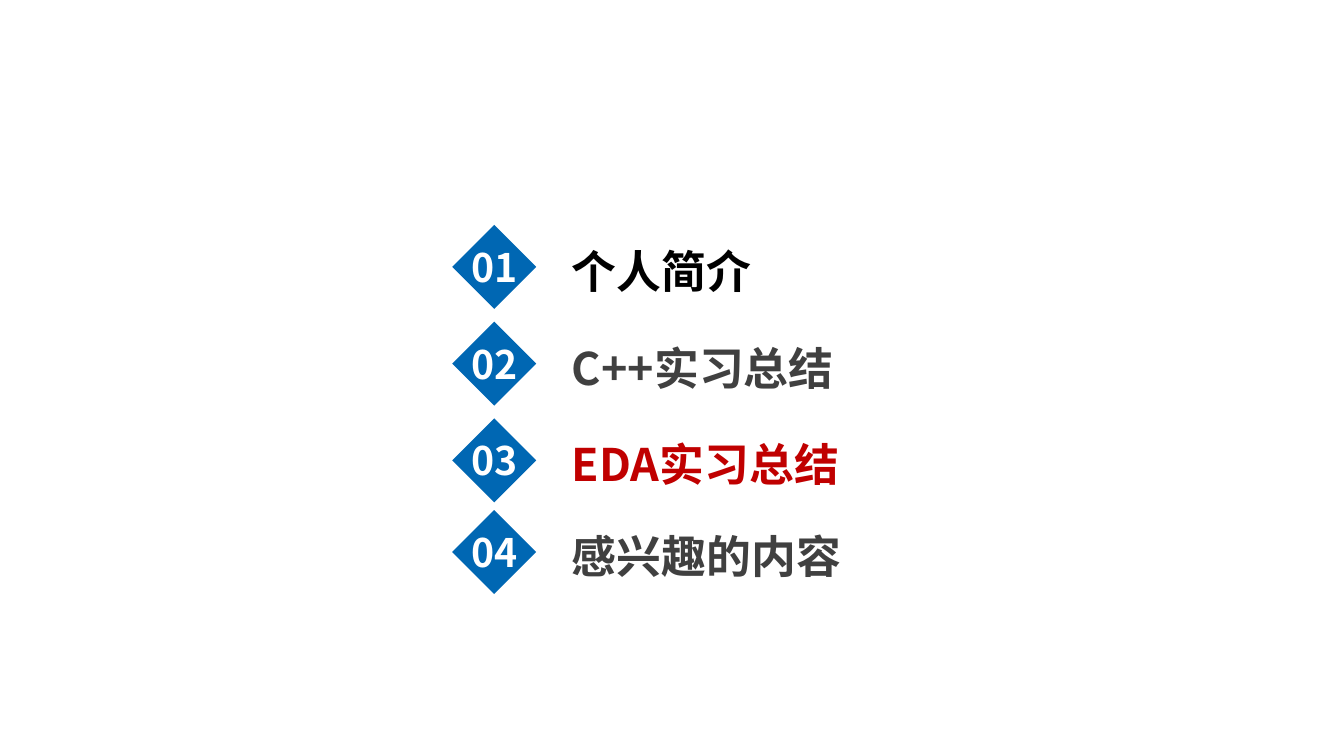
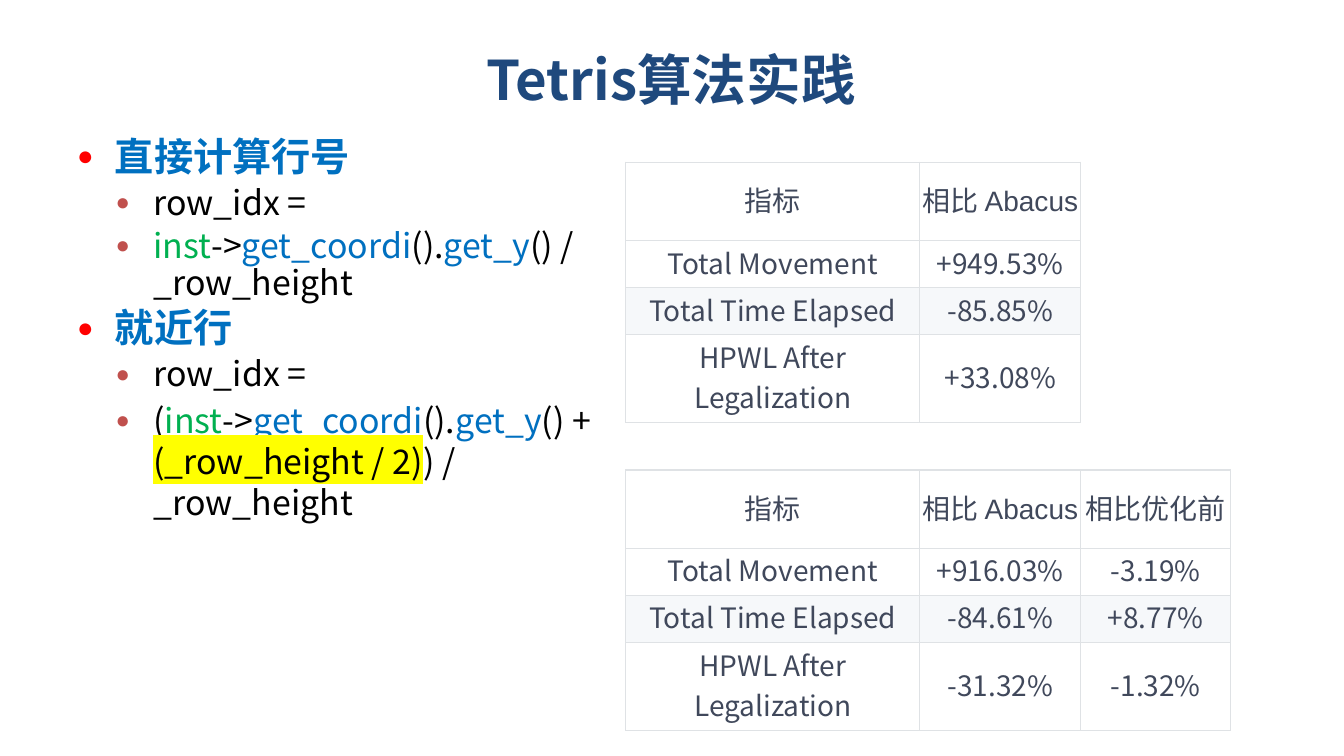
from dataclasses import dataclass

from lxml import etree
from pptx import Presentation
from pptx.dml.color import RGBColor
from pptx.enum.shapes import MSO_SHAPE
from pptx.enum.text import MSO_ANCHOR, PP_ALIGN
from pptx.oxml.ns import qn
from pptx.util import Pt

DIAMOND = MSO_SHAPE.DIAMOND
TOP, MIDDLE, BOTTOM = MSO_ANCHOR.TOP, MSO_ANCHOR.MIDDLE, MSO_ANCHOR.BOTTOM
LEFT, CENTER = PP_ALIGN.LEFT, PP_ALIGN.CENTER

SANS = "Noto Sans CJK SC"
ARIAL = "Arial"
BLACK, WHITE, GRAY = "000000", "FFFFFF", "404040"
NAVY, BLUE, DIAMOND_BLUE = "1F497D", "0070C0", "0067B3"
GREEN, CRIMSON, YELLOW = "00B050", "C00000", "FFFF00"
BULLET_RED, BULLET_BRICK = "FF0000", "C0504D"
TABLE_TEXT, TABLE_BORDER, TABLE_STRIPE = "40485B", "DFE2E5", "F6F8FA"
PLAIN_TABLE_STYLE = "{2D5ABB26-0587-4C30-8999-92F81FD0307C}"
TIGHT_SPACING, HIGHLIGHT_SPACING = 0.91, 1.0


@dataclass(frozen=True)
class TextStyle:
    size: float
    color: str
    bold: bool = False
    align: PP_ALIGN = LEFT
    font: str = SANS


@dataclass(frozen=True)
class AgendaItem:
    top: float
    label: str
    color: str


@dataclass(frozen=True)
class Piece:
    text: str
    color: str = BLACK
    highlight: str = ""


@dataclass(frozen=True)
class Bullet:
    level: int
    pieces: tuple[Piece, ...]


@dataclass(frozen=True)
class BulletStyle:
    indent: float
    color: str
    text: TextStyle


AGENDA = (
    AgendaItem(160.6, "个人简介", BLACK),
    AgendaItem(229.7, "C++实习总结", GRAY),
    AgendaItem(298.8, "EDA实习总结", CRIMSON),
    AgendaItem(364.3, "感兴趣的内容", GRAY),
)

BULLET_STYLES = (
    BulletStyle(27, BULLET_RED, TextStyle(28, BLUE, True)),
    BulletStyle(54.5, BULLET_BRICK, TextStyle(24.2, BLACK)),
)

ROW_INDEX = Bullet(1, (Piece("row_idx ="),))
GET_Y = (
    Piece("inst", GREEN),
    Piece("->"),
    Piece("get_coordi", BLUE),
    Piece("()."),
    Piece("get_y", BLUE),
)
BULLETS = (
    Bullet(0, (Piece("直接计算行号", BLUE),)),
    ROW_INDEX,
    Bullet(1, (*GET_Y, Piece("() / _row_height"))),
    Bullet(0, (Piece("就近行", BLUE),)),
    ROW_INDEX,
    Bullet(1, (
        Piece("("),
        *GET_Y,
        Piece("() + "),
        Piece("(_row_height / 2)", highlight=YELLOW),
        Piece(") / _row_height"),
    )),
)

METRICS = (
    ("指标", "相比 Abacus", ""),
    ("Total Movement", "+949.53%", ""),
    ("Total Time Elapsed", "-85.85%", ""),
    ("HPWL After Legalization", "+33.08%", ""),
    ("", "", ""),
    ("指标", "相比 Abacus", "相比优化前"),
    ("Total Movement", "+916.03%", "-3.19%"),
    ("Total Time Elapsed", "-84.61%", "+8.77%"),
    ("HPWL After Legalization", "-31.32%", "-1.32%"),
)
BLOCK_HEIGHTS = (55.8, 33.6, 33.6, 62.9)
ROW_HEIGHTS = (*BLOCK_HEIGHTS, 34, *BLOCK_HEIGHTS)
COLUMN_WIDTHS = (210, 115, 107.2)
EDGES = {"lnL": (0, -1), "lnR": (0, 1), "lnT": (-1, 0), "lnB": (1, 0)}


def rgb(color: str) -> RGBColor:
    return RGBColor.from_string(color)


def add_color(parent, color: str) -> None:
    etree.SubElement(parent, qn("a:srgbClr"), val=color)


def style_paragraph(paragraph, style: TextStyle) -> None:
    paragraph.alignment = style.align
    font = paragraph.font
    font.name = style.font
    font.size = Pt(style.size)
    font.bold = style.bold
    font.color.rgb = rgb(style.color)
    latin = next(paragraph._p.iter(qn("a:latin")))
    east_asian = etree.Element(qn("a:ea"), typeface=SANS)
    latin.addnext(east_asian)


def write(frame, text: str, style: TextStyle) -> None:
    paragraph = frame.paragraphs[0]
    paragraph.text = text
    style_paragraph(paragraph, style)


def add_frame(slide, left: float, top: float, width: float, height: float, anchor=TOP):
    box = slide.shapes.add_textbox(Pt(left), Pt(top), Pt(width), Pt(height))
    frame = box.text_frame
    frame.word_wrap = True
    frame.vertical_anchor = anchor
    return frame


def add_agenda_item(slide, number: int, item: AgendaItem) -> None:
    diamond = slide.shapes.add_shape(DIAMOND, Pt(323), Pt(item.top), Pt(60), Pt(60))
    diamond.shadow.inherit = False
    diamond.fill.solid()
    diamond.fill.fore_color.rgb = rgb(DIAMOND_BLUE)
    diamond.line.fill.background()
    frame = diamond.text_frame
    frame.word_wrap = False
    frame.vertical_anchor = MIDDLE
    frame.margin_left = frame.margin_right = frame.margin_top = frame.margin_bottom = 0
    write(frame, f"{number:02d}", TextStyle(28, WHITE, True, CENTER))
    label = add_frame(slide, 401.5, item.top + 9.8, 271.5, 46)
    write(label, item.label, TextStyle(32, item.color, True))


def add_bullet_mark(paragraph, style: BulletStyle) -> None:
    properties = paragraph._p.get_or_add_pPr()
    properties.set("marL", str(Pt(style.indent)))
    properties.set("indent", str(-Pt(27)))
    add_color(etree.SubElement(properties, qn("a:buClr")), style.color)
    etree.SubElement(properties, qn("a:buSzPct"), val="70000")
    etree.SubElement(properties, qn("a:buFont"), typeface=ARIAL)
    etree.SubElement(properties, qn("a:buChar"), char="●")


def add_bullets(frame, bullets: tuple[Bullet, ...]) -> None:
    for index, bullet in enumerate(bullets):
        paragraph = frame.add_paragraph() if index else frame.paragraphs[0]
        style = BULLET_STYLES[bullet.level]
        highlighted = any(piece.highlight for piece in bullet.pieces)
        paragraph.level = bullet.level
        paragraph.line_spacing = HIGHLIGHT_SPACING if highlighted else TIGHT_SPACING
        if index:
            paragraph.space_before = Pt(4.2)
        add_bullet_mark(paragraph, style)
        style_paragraph(paragraph, style.text)
        for piece in bullet.pieces:
            run = paragraph.add_run()
            run.text = piece.text
            if piece.color != style.text.color:
                run.font.color.rgb = rgb(piece.color)
            if piece.highlight:
                properties = run._r.get_or_add_rPr()
                add_color(etree.SubElement(properties, qn("a:highlight")), piece.highlight)


def has_text(row: int, column: int) -> bool:
    inside = 0 <= row < len(METRICS) and 0 <= column < len(COLUMN_WIDTHS)
    return inside and bool(METRICS[row][column])


def add_borders(cell, row: int, column: int) -> None:
    properties = cell._tc.get_or_add_tcPr()
    for position, (edge, (down, right)) in enumerate(EDGES.items()):
        line = etree.Element(qn(f"a:{edge}"), w=str(Pt(1)))
        if has_text(row, column) or has_text(row + down, column + right):
            add_color(etree.SubElement(line, qn("a:solidFill")), TABLE_BORDER)
        else:
            etree.SubElement(line, qn("a:noFill"))
        properties.insert(position, line)


def fill_cell(cell, row: int, column: int) -> None:
    text = METRICS[row][column]
    block_row = row % (len(BLOCK_HEIGHTS) + 1)
    if text:
        cell.margin_left = cell.margin_right = cell.margin_top = Pt(0.72)
        cell.margin_bottom = Pt(3.6)
        cell.vertical_anchor = MIDDLE
        cell.fill.solid()
        cell.fill.fore_color.rgb = rgb(TABLE_STRIPE if block_row == 2 else WHITE)
        font = SANS if block_row else ARIAL
        write(cell.text_frame, text, TextStyle(20, TABLE_TEXT, align=CENTER, font=font))
    else:
        cell.fill.background()
    add_borders(cell, row, column)


def add_metrics_table(slide, left: float, top: float) -> None:
    table = slide.shapes.add_table(
        len(METRICS), len(COLUMN_WIDTHS), Pt(left), Pt(top),
        Pt(sum(COLUMN_WIDTHS)), Pt(sum(ROW_HEIGHTS)),
    ).table
    table.first_row = table.horz_banding = False
    next(table._tbl.iter(qn("a:tableStyleId"))).text = PLAIN_TABLE_STYLE
    for column, width in zip(table.columns, COLUMN_WIDTHS):
        column.width = Pt(width)
    for row, height in enumerate(ROW_HEIGHTS):
        table.rows[row].height = Pt(height)
        for column in range(len(COLUMN_WIDTHS)):
            fill_cell(table.cell(row, column), row, column)


def build_agenda(slide) -> None:
    for number, item in enumerate(AGENDA, 1):
        add_agenda_item(slide, number, item)


def build_results(slide) -> None:
    title = add_frame(slide, 48, 9.4, 862.6, 73.4, BOTTOM)
    write(title, "Tetris算法实践", TextStyle(39, NAVY, True, CENTER))
    add_metrics_table(slide, 447, 115.9)
    add_bullets(add_frame(slide, 48, 94.3, 388, 388.8), BULLETS)


def main() -> None:
    presentation = Presentation()
    presentation.slide_width, presentation.slide_height = Pt(960), Pt(540)
    blank_layout = presentation.slide_layouts[6]
    for build in (build_agenda, build_results):
        build(presentation.slides.add_slide(blank_layout))
    presentation.save("out.pptx")


if __name__ == "__main__":
    main()
